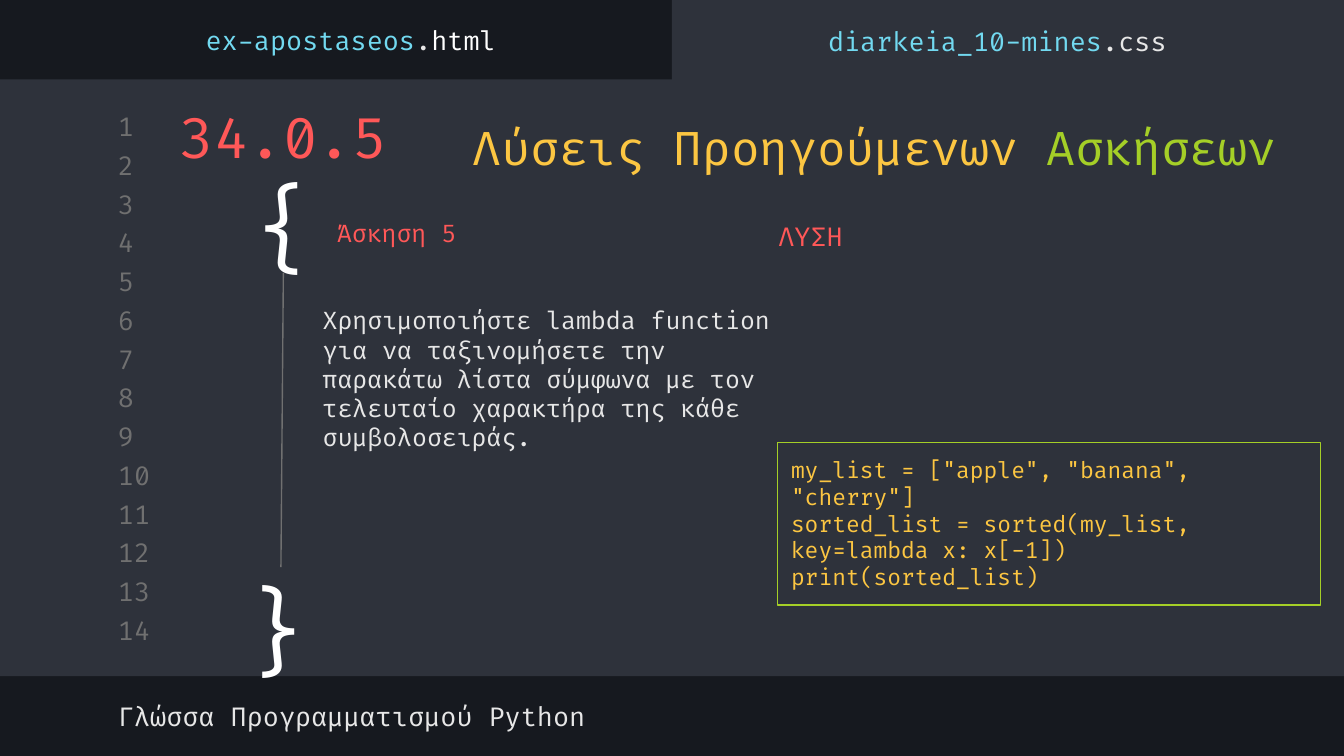
from dataclasses import dataclass

from lxml.etree import SubElement
from pptx import Presentation
from pptx.dml.color import RGBColor
from pptx.enum.shapes import MSO_CONNECTOR, MSO_SHAPE
from pptx.enum.text import MSO_ANCHOR, MSO_AUTO_SIZE, PP_ALIGN
from pptx.oxml.ns import qn
from pptx.util import Cm, Pt

FONT = "Fira Code"
DARK, PANEL, GREY = "16191F", "2E323B", "707070"
PALE, WHITE, BLUE = "E7E7E7", "FFFFFF", "72D9F0"
RED, GOLD, GREEN = "FF5858", "FCC642", "A5CF27"


@dataclass
class Part:
    text: str
    color: str
    size: float = 14


@dataclass
class Area:
    left: float
    top: float
    width: float
    height: float

    def cm(self) -> tuple:
        return Cm(self.left), Cm(self.top), Cm(self.width), Cm(self.height)


@dataclass
class Label:
    area: Area
    rows: list[list[Part]]
    align: PP_ALIGN = PP_ALIGN.LEFT
    anchor: MSO_ANCHOR = MSO_ANCHOR.MIDDLE


def rgb(color: str) -> RGBColor:
    return RGBColor.from_string(color)


def write(shape, label: Label) -> None:
    frame = shape.text_frame
    frame.word_wrap = True
    frame.auto_size = MSO_AUTO_SIZE.NONE
    frame.vertical_anchor = label.anchor
    frame.margin_left = frame.margin_right = Cm(0.25)
    frame.margin_top = frame.margin_bottom = Cm(0.25)
    for index, row in enumerate(label.rows):
        para = frame.add_paragraph() if index else frame.paragraphs[0]
        para.alignment = label.align
        para.font.name = FONT
        same_size = len({part.size for part in row}) == 1
        same_color = len({part.color for part in row}) == 1
        if same_size:
            para.font.size = Pt(row[0].size)
        if same_color:
            para.font.color.rgb = rgb(row[0].color)
        for part in row:
            run = para.add_run()
            run.text = part.text
            if not same_size:
                run.font.size = Pt(part.size)
            if not same_color:
                run.font.color.rgb = rgb(part.color)


def add_label(slide, label: Label):
    box = slide.shapes.add_textbox(*label.area.cm())
    write(box, label)
    return box


def add_panel(slide, area: Area):
    panel = slide.shapes.add_shape(MSO_SHAPE.RECTANGLE, *area.cm())
    panel.shadow.inherit = False
    panel.fill.solid()
    panel.fill.fore_color.rgb = rgb(PANEL)
    panel.line.fill.background()
    return panel


def add_code(slide, label: Label) -> None:
    frame = add_panel(slide, label.area)
    frame.fill.background()
    frame.line.color.rgb = rgb(GREEN)
    frame.line.width = Pt(0.75)
    write(frame, label)


def set_title(slide, label: Label) -> None:
    title = slide.shapes.title
    title.left, title.top, title.width, title.height = label.area.cm()
    write(title, label)
    title.element.getparent().append(title.element)


def add_rule(slide, start, end_x: float, end_y: float) -> None:
    rule = slide.shapes.add_connector(
        MSO_CONNECTOR.STRAIGHT, Cm(5.36), Cm(5.16), Cm(end_x), Cm(end_y))
    rule.begin_connect(start, 2)
    rule.line.color.rgb = rgb(GREY)
    rule.line.width = Pt(0.75)
    SubElement(rule.element.spPr, qn("a:effectLst"))


def main() -> None:
    deck = Presentation()
    deck.slide_width, deck.slide_height = Cm(25.4), Cm(14.29)
    slide = deck.slides.add_slide(deck.slide_layouts[5])
    slide.background.fill.solid()
    slide.background.fill.fore_color.rgb = rgb(DARK)

    add_panel(slide, Area(0, 1.5, 25.4, 11.28))
    add_panel(slide, Area(12.7, 0, 12.7, 1.75))
    for index in range(14):
        area = Area(1.98, 2.08 + 9.52 * index / 13, 1.19, 0.61)
        add_label(slide, Label(area, [[Part(str(index + 1), GREY)]]))

    center = PP_ALIGN.CENTER
    labels = [
        Label(Area(1.98, 13.04, 13.51, 0.99),
              [[Part("Γλώσσα Προγραμματισμού Python", PALE)]]),
        Label(Area(0.28, 0.26, 12.7, 0.99),
              [[Part("ex-apostaseos", BLUE), Part(".", PALE),
                Part("html", WHITE)]], center),
        Label(Area(12.5, 0.28, 12.7, 0.99),
              [[Part("diarkeia_10-mines", BLUE), Part(".css", PALE)]], center),
        Label(Area(4.45, 10.79, 1.4, 2.18), [[Part("}", WHITE, 50)]]),
        Label(Area(5.85, 5.53, 9.22, 3.25),
              [[Part("Χρησιμοποιήστε lambda function για να ταξινομήσετε την "
                     "παρακάτω λίστα σύμφωνα με τον τελευταίο χαρακτήρα της "
                     "κάθε συμβολοσειράς.", PALE, 13)]]),
        Label(Area(14.46, 3.91, 7.37, 0.81), [[Part("ΛΥΣΗ", RED)]],
              anchor=MSO_ANCHOR.TOP),
        Label(Area(6.12, 3.9, 6.86, 0.99), [[Part("Άσκηση 5", RED, 13)]]),
    ]
    for label in labels:
        add_label(slide, label)

    brace = add_label(slide, Label(
        Area(2.75, 2.09, 5.21, 3.07),
        [[Part("34.0.5", RED, 30), Part("{", WHITE, 50)]], center))
    add_rule(slide, brace, 5.31, 10.72)
    set_title(slide, Label(
        Area(8.31, 2.03, 16.43, 1.5),
        [[Part("Λύσεις Προηγούμενων ", GOLD, 25), Part("Ασκήσεων", GREEN, 25)]],
        center))

    code = ['my_list = ["apple", "banana", "cherry"]',
            "sorted_list = sorted(my_list, key=lambda x: x[-1])",
            "print(sorted_list)"]
    add_code(slide, Label(
        Area(14.7, 8.37, 10.26, 3.07),
        [[Part(line, GOLD, 12)] for line in code], anchor=MSO_ANCHOR.TOP))
    deck.save("out.pptx")


if __name__ == "__main__":
    main()
